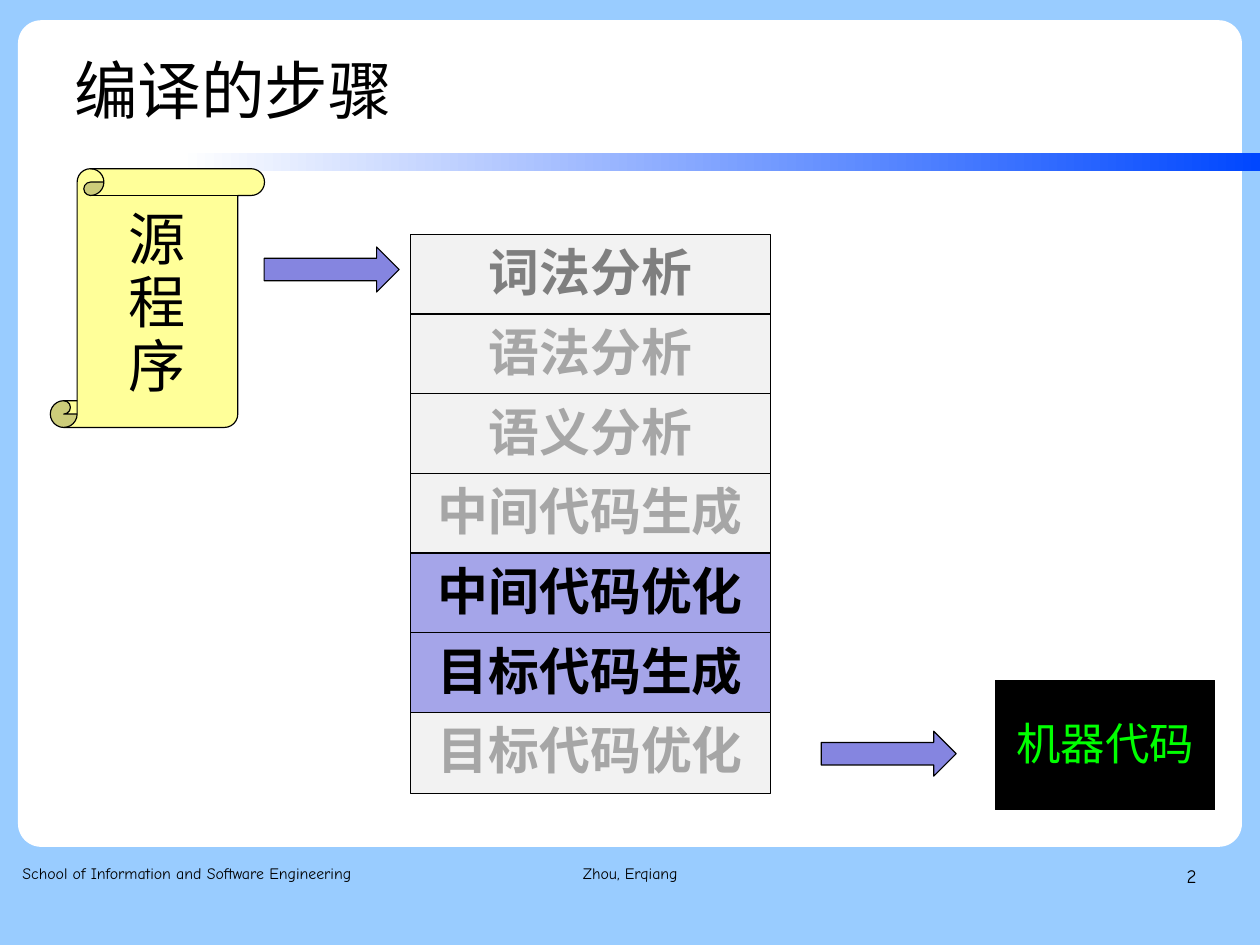
from lxml import etree
from pptx import Presentation
from pptx.dml.color import RGBColor
from pptx.enum.shapes import MSO_SHAPE
from pptx.enum.text import MSO_ANCHOR, MSO_AUTO_SIZE, PP_ALIGN
from pptx.oxml.ns import qn
from pptx.util import Cm, Pt

RECT = MSO_SHAPE.RECTANGLE
ROUNDED = MSO_SHAPE.ROUNDED_RECTANGLE
SCROLL = MSO_SHAPE.VERTICAL_SCROLL
ARROW = MSO_SHAPE.RIGHT_ARROW
TOP, MIDDLE = MSO_ANCHOR.TOP, MSO_ANCHOR.MIDDLE
LEFT, CENTER, RIGHT = PP_ALIGN.LEFT, PP_ALIGN.CENTER, PP_ALIGN.RIGHT
NO_AUTOFIT = MSO_AUTO_SIZE.NONE

HAN_FONT = "Noto Sans CJK SC"
LATIN_FONT = "Comic Neue"
COLORS = {
    "sky": "99CCFF", "white": "FFFFFF", "black": "000000", "blue": "0047FF",
    "pale": "F2F2F2", "lilac": "A5A5E9", "violet": "8585E0",
    "paper": "FFFF99", "dim": "A6A6A6", "gray": "7F7F7F", "green": "00FF00",
}
STEPS = [
    ("词法分析", "pale", "gray"),
    ("语法分析", "pale", "dim"),
    ("语义分析", "pale", "dim"),
    ("中间代码生成", "pale", "dim"),
    ("中间代码优化", "lilac", "black"),
    ("目标代码生成", "lilac", "black"),
    ("目标代码优化", "pale", "dim"),
]
STEP_TOP, STEP_PITCH = 5.21, 1.77


def rgb(color):
    return RGBColor.from_string(COLORS[color])


class SlideBuilder:
    def __init__(self, slide):
        self.slide = slide

    def background(self, color):
        fill = self.slide.background.fill
        fill.solid()
        fill.fore_color.rgb = rgb(color)

    def add_lines(self, frame, lines, size, color="black", font=HAN_FONT,
                  bold=False, align=CENTER, spacing=0.93):
        for index, line in enumerate(lines):
            paragraph = frame.paragraphs[0] if index == 0 else frame.add_paragraph()
            paragraph.alignment = align
            paragraph.line_spacing = spacing
            paragraph.space_before = Pt(0)
            run = paragraph.add_run()
            run.text = line
            run.font.size = Pt(size)
            run.font.bold = bold
            run.font.name = font
            run.font.color.rgb = rgb(color)
            east_asian = etree.Element(qn("a:ea"), typeface=font)
            run.font._element.find(qn("a:latin")).addnext(east_asian)

    def shape(self, kind, box, fill, outlined=True):
        shape = self.slide.shapes.add_shape(kind, *map(Cm, box))
        shape.shadow.inherit = False
        shape.fill.solid()
        shape.fill.fore_color.rgb = rgb(fill)
        if outlined:
            shape.line.color.rgb = rgb("black")
            shape.line.width = Pt(0.75)
        else:
            shape.line.fill.background()
        return shape

    def labelled(self, kind, box, fill, lines, size, color="black", bold=False):
        shape = self.shape(kind, box, fill)
        shape.text_frame.vertical_anchor = MIDDLE
        self.add_lines(shape.text_frame, lines, size, color, bold=bold)

    def gradient_bar(self, box, start, end):
        bar = self.shape(RECT, box, start, outlined=False)
        bar.fill.gradient()
        bar.fill.gradient_angle = 0
        for stop, position, color in zip(bar.fill.gradient_stops, (0, 1), (start, end)):
            stop.position = position
            stop.color.rgb = rgb(color)

    def title(self, text, box):
        title = self.slide.shapes.title
        title.left, title.top, title.width, title.height = map(Cm, box)
        frame = title.text_frame
        frame.word_wrap = True
        frame.auto_size = NO_AUTOFIT
        frame.vertical_anchor = TOP
        self.add_lines(frame, [text], 40, align=LEFT, spacing=1.1)
        self.slide.shapes.element.append(title.element)

    def footer(self, text, box, size, align, indent=0):
        frame = self.slide.shapes.add_textbox(*map(Cm, box)).text_frame
        frame.word_wrap = True
        frame.margin_left = Cm(indent)
        frame.margin_top = frame.margin_right = frame.margin_bottom = 0
        self.add_lines(frame, [text], size, font=LATIN_FONT, align=align, spacing=1.16)


def main():
    deck = Presentation()
    deck.slide_width, deck.slide_height = Cm(28), Cm(21)
    page = SlideBuilder(deck.slides.add_slide(deck.slide_layouts[5]))

    page.background("sky")
    panel = page.shape(ROUNDED, (0.4, 0.45, 27.2, 18.37), "white", outlined=False)
    panel.adjustments[0] = 0.028
    page.gradient_bar((4, 3.4, 24, 0.4), "white", "blue")
    page.title("编译的步骤", (1.4, 0.84, 21.8, 2.56))

    for index, (step, fill, color) in enumerate(STEPS):
        box = (9.12, STEP_TOP + index * STEP_PITCH, 8, 1.8)
        page.labelled(RECT, box, fill, [step], 32, color, bold=True)

    page.labelled(SCROLL, (1.12, 3.75, 4.76, 5.75), "paper", "源程序", 36)
    for left, top in ((5.87, 5.49), (18.25, 16.25)):
        page.shape(ARROW, (left, top, 3, 1), "violet")
    page.labelled(RECT, (22.12, 15.12, 4.88, 2.88), "black", ["机器代码"], 28, "green")

    page.footer("School of Information and Software Engineering",
                (0.4, 19.13, 8.6, 1.45), 10, LEFT, indent=0.1)
    page.footer("Zhou, Erqiang", (9.57, 19.13, 8.87, 1.45), 10, CENTER)
    page.footer("2", (20.07, 19.13, 6.52, 1.45), 12, RIGHT)

    deck.save("out.pptx")


if __name__ == "__main__":
    main()
